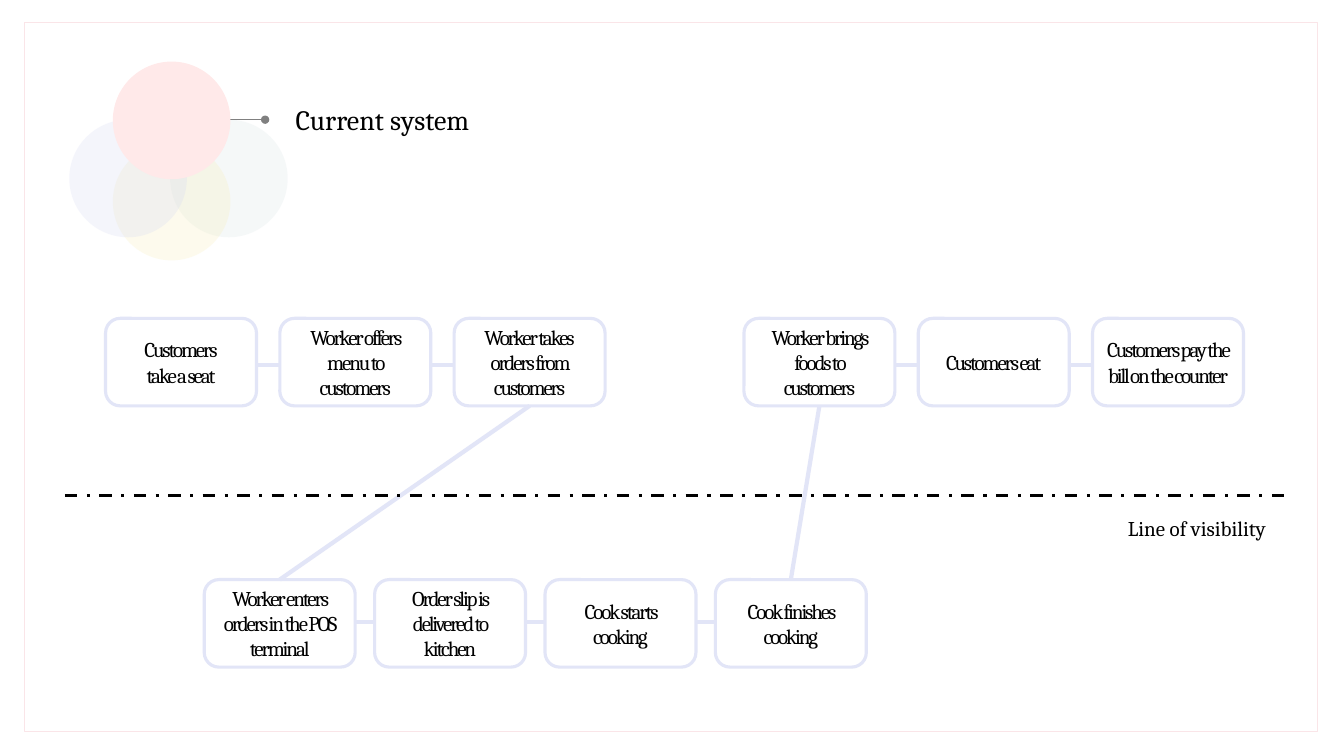
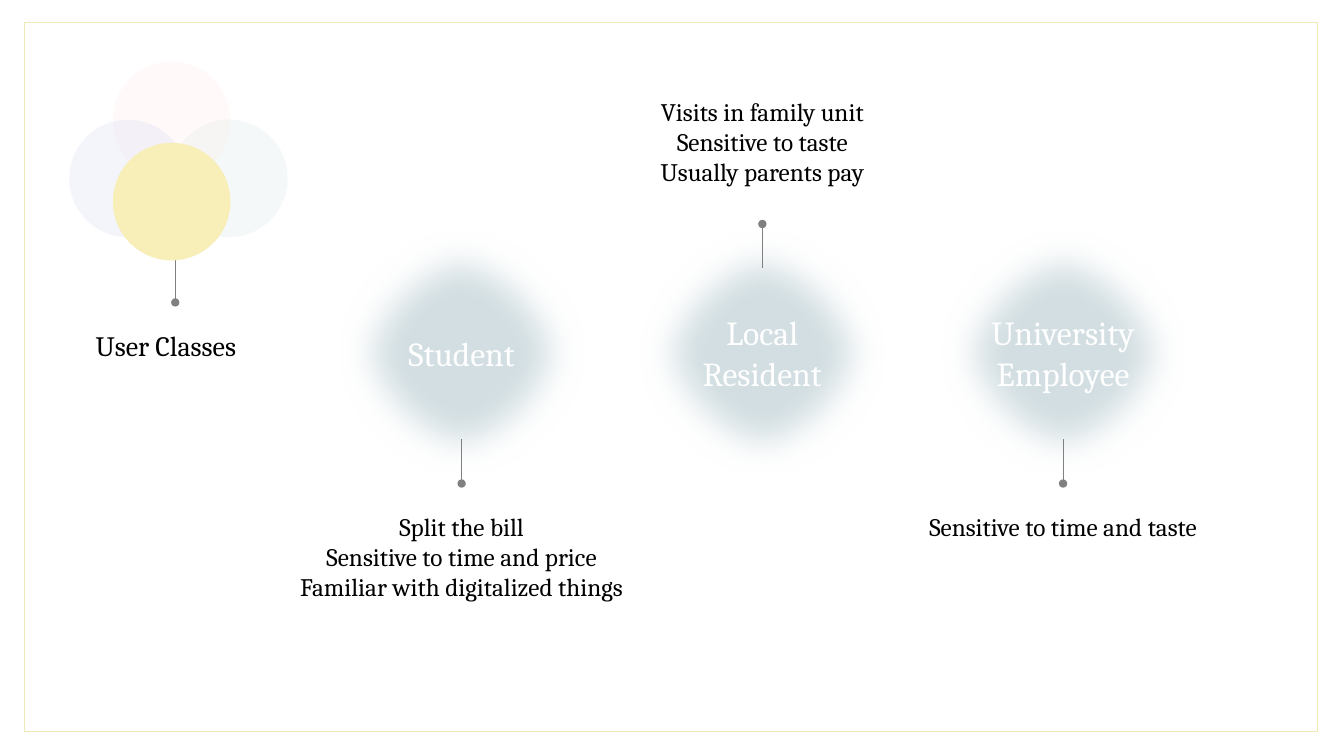
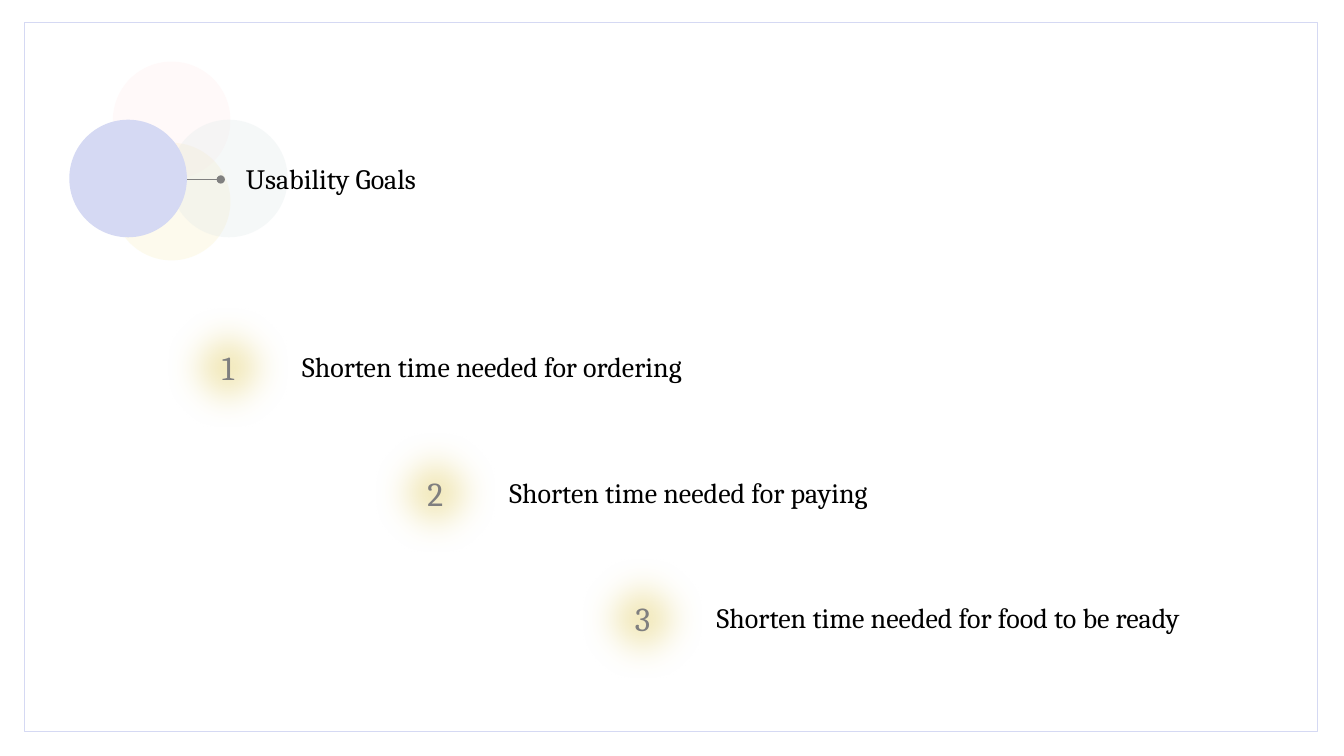
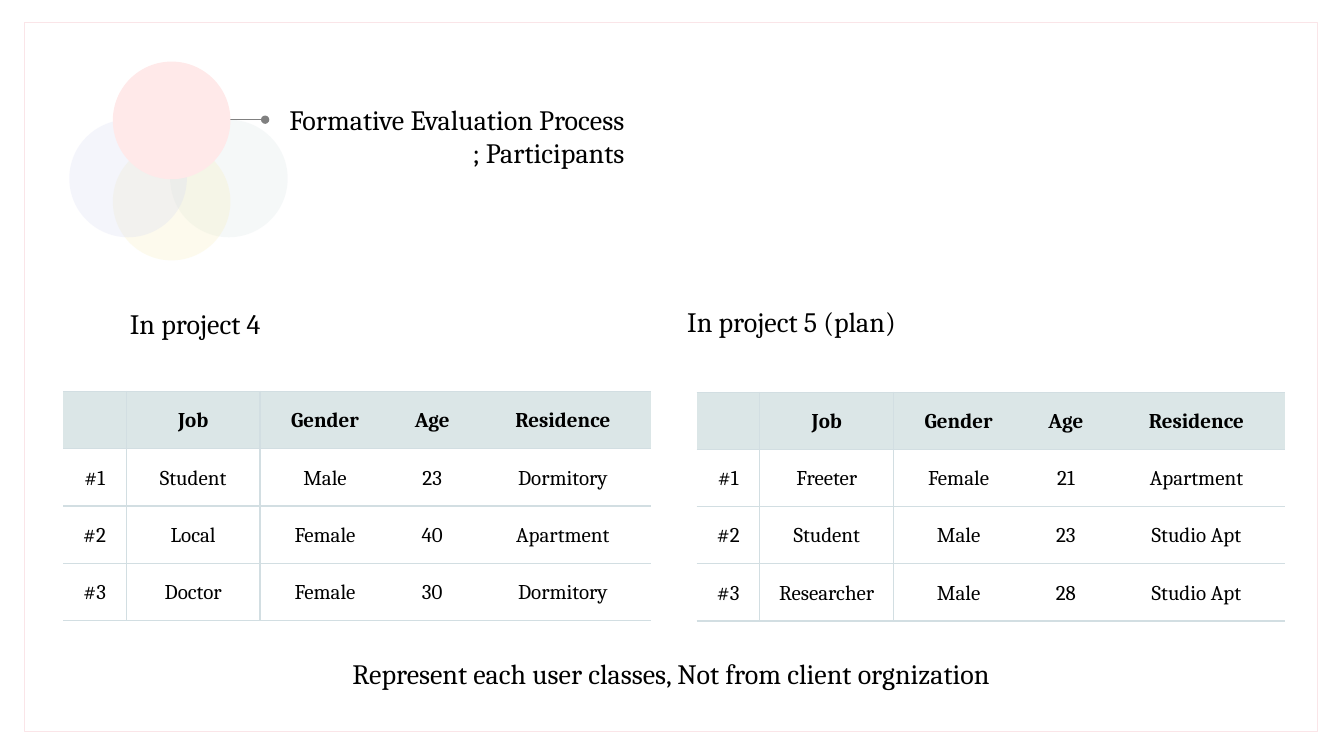
from dataclasses import dataclass

from pptx import Presentation
from pptx.dml.color import RGBColor
from pptx.enum import dml, shapes, text
from pptx.oxml import ns, xmlchemy
from pptx.util import Pt

FONT = "Cambria"
BLACK, WHITE, GREY, DIM = "000000", "FFFFFF", "808080", "7F7F7F"
LILAC, MIST, SAND, RULE, HEAD = "E2E5F7", "D2DEE2", "F2E8B6", "D2DEE2", "DBE6E7"
LEFT, MID, RIGHT = text.PP_ALIGN.LEFT, text.PP_ALIGN.CENTER, text.PP_ALIGN.RIGHT
OVAL, ROUND, RECT = (shapes.MSO_SHAPE.OVAL, shapes.MSO_SHAPE.ROUNDED_RECTANGLE,
                     shapes.MSO_SHAPE.RECTANGLE)
PETAL = 84
PLAIN = "{2D5ABB26-0587-4C30-8999-92F81FD0307C}"


@dataclass
class Petal:
    x: float
    y: float
    hue: str


PETALS = {
    "green": Petal(121.5, 85.5, "DBE6E7"),
    "pink": Petal(80.6, 44, "FFE9E9"),
    "yellow": Petal(80.6, 102, "F8EEB8"),
    "blue": Petal(49.5, 85.5, "D5D9F3"),
}


@dataclass
class Theme:
    """Frame colour, petals from back to front, and the pin of the front one."""
    edge: str
    order: str
    pin: tuple[float, float, float, float]


PINK = Theme("FAE5E8", "green yellow blue pink", (163.5, 85.5, 189.4, 85.5))
YELLOW = Theme("EFE8B7", "green pink blue yellow", (125.2, 184.3, 125.2, 216))
BLUE = Theme("D5D9F3", "yellow pink green blue", (131.8, 128.2, 157.7, 128.2))


@dataclass
class Row:
    """Boxes on a spine, which runs behind them from one x to another."""
    x: float
    y: float
    step: float
    spine: tuple[float, float, float]
    steps: list[str]


@dataclass
class Group:
    name: str
    note: str
    wide: float
    up: bool = False


@dataclass
class Goal:
    words: str
    wide: float


@dataclass
class Grid:
    name: str
    name_x: float
    name_y: float
    wide: float
    x: float
    y: float
    rows: list[str]


ORDER = Row(75.4, 227.4, 124.5, (126, 375.1, 260.8), [
    "Customers\ntake a seat", "Worker offers menu to customers",
    "Worker takes\norders from customers"])
COOK = Row(145.9, 414, 121.7, (231.1, 550.1, 444.2), [
    "Worker enters orders in the POS terminal",
    "Order slip is delivered to kitchen", "Cook starts cooking",
    "Cook finishes cooking"])
SERVE = Row(531.4, 227.4, 124.5, (597.6, 846.7, 260.8), [
    "Worker brings foods to customers", "Customers eat",
    "Customers pay the bill on the counter"])
GROUPS = [
    Group("Student", "Split the bill\nSensitive to time and price\n"
          "Familiar with digitalized things", 269.3),
    Group("Local\nResident", "Visits in family unit\nSensitive to taste\n"
          "Usually parents pay", 176.4, up=True),
    Group("University\nEmployee", "Sensitive to time and taste", 224.6),
]
GOALS = [
    Goal("Shorten time needed for ordering", 313.2),
    Goal("Shorten time needed for paying", 297.4),
    Goal("Shorten time needed for food to be ready", 381.6),
]
TITLES = "|Job|Gender|Age|Residence"
GRIDS = [
    Grid("In project 4", 85.7, 215.3, 114.5, 45, 279.7, [
        TITLES, "#1|Student|Male|23|Dormitory", "#2|Local|Female|40|Apartment",
        "#3|Doctor|Female|30|Dormitory"]),
    Grid("In project 5 (plan)", 483.8, 213.8, 172.8, 497.6, 280.1, [
        TITLES, "#1|Freeter|Female|21|Apartment", "#2|Student|Male|23|Studio Apt",
        "#3|Researcher|Male|28|Studio Apt"]),
]
COLS = [45.2, 95.6, 92.8, 60.4, 126.2]


def rgb(hue: str) -> RGBColor:
    return RGBColor.from_string(hue)


def node(root, tag: str, **attrs):
    """Append an XML element to root."""
    item = xmlchemy.OxmlElement(tag)
    for key, value in attrs.items():
        item.set(key, str(value))
    root.append(item)
    return item


def write(frame, words: str, *, size: float = 20, hue: str = BLACK,
          bold: bool = False, align=LEFT, last=None, lead: float = 1,
          track: int = 0) -> None:
    """Fill a text frame; last is the alignment of the final line."""
    frame.text = words
    for par in frame.paragraphs:
        par.alignment = align
        if lead != 1:
            par.line_spacing = lead
        for run in par.runs:
            font = run.font
            font.name, font.size, font.bold = FONT, Pt(size), bold
            font.color.rgb = rgb(hue)
            if track:
                run._r.get_or_add_rPr().set("spc", str(track))
        if not par.runs:
            node(par._p, "a:endParaRPr", sz=size * 100)
    if last is not None:
        frame.paragraphs[-1].alignment = last


def label(slide, words: str, x: float, y: float, w: float, h: float = 31.7,
          wrap: bool = False, **style) -> None:
    frame = slide.shapes.add_textbox(Pt(x), Pt(y), Pt(w), Pt(h)).text_frame
    frame.word_wrap = wrap
    frame.auto_size = text.MSO_AUTO_SIZE.SHAPE_TO_FIT_TEXT
    write(frame, words, **style)


def form(slide, kind, x: float, y: float, w: float, h: float, fill: str = "",
         edge: str = "", thick: float = 1, alpha: int = 100, soft: float = 0):
    """Draw a preset shape; alpha is in percent, soft is the soft edge."""
    item = slide.shapes.add_shape(kind, Pt(x), Pt(y), Pt(w), Pt(h))
    item.shadow.inherit = False
    props = item._element.spPr
    if fill:
        item.fill.solid()
        item.fill.fore_color.rgb = rgb(fill)
    else:
        item.fill.background()
    if edge:
        item.line.color.rgb = rgb(edge)
        item.line.width = Pt(thick)
    else:
        item.line.fill.background()
    if alpha < 100:
        node(props.find(ns.qn("a:solidFill"))[0], "a:alpha", val=alpha * 1000)
    if soft:
        node(props.find(ns.qn("a:effectLst")), "a:softEdge", rad=Pt(soft))
    return item


def link(slide, x1: float, y1: float, x2: float, y2: float, hue: str,
         thick: float, dash=None, dot: bool = False):
    item = slide.shapes.add_connector(
        shapes.MSO_CONNECTOR.STRAIGHT, Pt(x1), Pt(y1), Pt(x2), Pt(y2))
    item.line.color.rgb = rgb(hue)
    item.line.width = Pt(thick)
    if dash:
        item.line.dash_style = dash
    props = item._element.spPr
    if dot:
        node(props.find(ns.qn("a:ln")), "a:tailEnd", type="oval")
    node(props, "a:effectLst")
    return item


def pin(slide, x1: float, y1: float, x2: float, y2: float) -> None:
    link(slide, x1, y1, x2, y2, GREY, 0.5, dot=True)


def join(slide, low, high) -> None:
    """Link the top of the low box to the bottom of the high one."""
    item = link(slide, 0, 0, 0, 0, LILAC, 3)
    item.begin_connect(low, 0)
    item.end_connect(high, 2)


def ball(slide, words: str, x: float, y: float, d: float, fill: str,
         hue: str) -> None:
    """Draw a soft circle with text."""
    item = form(slide, OVAL, x, y, d, d, fill, soft=25)
    write(item.text_frame, words, size=24, hue=hue, align=MID)


def chain(slide, row: Row) -> list:
    """Draw a row of boxes on its spine and return them."""
    x1, x2, y = row.spine
    link(slide, x1, y, x2, y, LILAC, 3)
    boxes = []
    for i, words in enumerate(row.steps):
        box = form(slide, ROUND, row.x + i * row.step, row.y, 107.8, 62.5,
                   WHITE, LILAC, 2.25)
        write(box.text_frame, words, size=15, align=MID, track=-150)
        boxes.append(box)
    return boxes


def start(deck, theme: Theme):
    """Add a slide with its frame, petals and pin."""
    slide = deck.slides.add_slide(deck.slide_layouts[6])
    form(slide, RECT, 17.5, 16, 923.8, 506.7, edge=theme.edge)
    *back, front = [PETALS[name] for name in theme.order.split()]
    for petal in back:
        form(slide, OVAL, petal.x, petal.y, PETAL, PETAL, petal.hue, alpha=25)
    pin(slide, *theme.pin)
    form(slide, OVAL, front.x, front.y, PETAL, PETAL, front.hue)
    return slide


def rule(cell, sides: str) -> None:
    """Line the named sides (out of LRTB) of a cell."""
    props = cell._tc.get_or_add_tcPr()
    for i, side in enumerate(sides):
        line = node(props, f"a:ln{side}", w=Pt(1))
        node(node(line, "a:solidFill"), "a:srgbClr", val=RULE)
        props.insert(i, line)


def table(slide, grid: Grid) -> None:
    high = 40.85
    item = slide.shapes.add_table(
        len(grid.rows), len(COLS), Pt(grid.x), Pt(grid.y), Pt(sum(COLS)),
        Pt(high * len(grid.rows))).table
    item.first_row = item.horz_banding = False
    item._tbl.tblPr.find(ns.qn("a:tableStyleId")).text = PLAIN
    for col, wide in zip(item.columns, COLS):
        col.width = Pt(wide)
    for r, row in enumerate(grid.rows):
        item.rows[r].height = Pt(high)
        for c, words in enumerate(row.split("|")):
            cell = item.cell(r, c)
            cell.vertical_anchor = text.MSO_ANCHOR.MIDDLE
            cell.margin_left = cell.margin_right = Pt(10.8)
            cell.margin_top = cell.margin_bottom = Pt(10.8)
            if r == 0:
                cell.fill.solid()
                cell.fill.fore_color.rgb = rgb(HEAD)
            else:
                cell.fill.background()
            write(cell.text_frame, words, size=15, bold=r == 0, align=MID,
                  lead=1.07)
            rule(cell, {0: "RTB", 1: "LTB"}.get(c, "TB"))


def system(deck) -> None:
    slide = start(deck, PINK)
    label(slide, " Current system", 199.6, 69.8, 157.7)
    order, cook, serve = [chain(slide, row) for row in (ORDER, COOK, SERVE)]
    join(slide, cook[0], order[-1])
    join(slide, cook[-1], serve[0])
    link(slide, 46.3, 354.2, 920.2, 354.2, BLACK, 2.25,
         dash=dml.MSO_LINE.DASH_DOT)
    label(slide, "Line of visibility", 780.5, 360, 149, 30.2, wrap=True,
          size=15, align=MID, lead=1.25)


def users(deck) -> None:
    slide = start(deck, YELLOW)
    label(slide, "User Classes", 61.2, 231.1, 127.4)
    size, top = 184.3, 159.8
    for i, group in enumerate(GROUPS):
        x = 237.6 + i * 214.8
        mid = x + size / 2
        ball(slide, group.name, x, top, size, MIST, WHITE)
        near, far, y = (191.5, 160, 65) if group.up else (313.9, 345.4, 361.6)
        pin(slide, mid, near, mid, far)
        label(slide, group.note, mid - group.wide / 2, y, group.wide, 72.7,
              size=18, align=MID)


def goals(deck) -> None:
    slide = start(deck, BLUE)
    label(slide, "Usability Goals", 168.5, 111.6, 151.9)
    for i, goal in enumerate(GOALS):
        x, y = 109.2 + i * 148.1, 208.7 + i * 89.7
        ball(slide, str(i + 1), x, y, 107.3, SAND, DIM)
        label(slide, goal.words, x + 99.5, y + 37.5, goal.wide)


def people(deck) -> None:
    slide = start(deck, PINK)
    label(slide, "Formative Evaluation Process\n; Participants",
          199.6, 69.6, 285.8, 55.4, last=RIGHT)
    for grid in GRIDS:
        label(slide, grid.name, grid.name_x, grid.name_y, grid.wide)
        table(slide, grid)
    label(slide, "Represent each user classes, Not from client orgnization",
          222.5, 465.1, 514.1, align=MID)


def main() -> None:
    deck = Presentation()
    deck.slide_width, deck.slide_height = Pt(960), Pt(540)
    for build in (system, users, goals, people):
        build(deck)
    deck.save("out.pptx")


if __name__ == "__main__":
    main()
